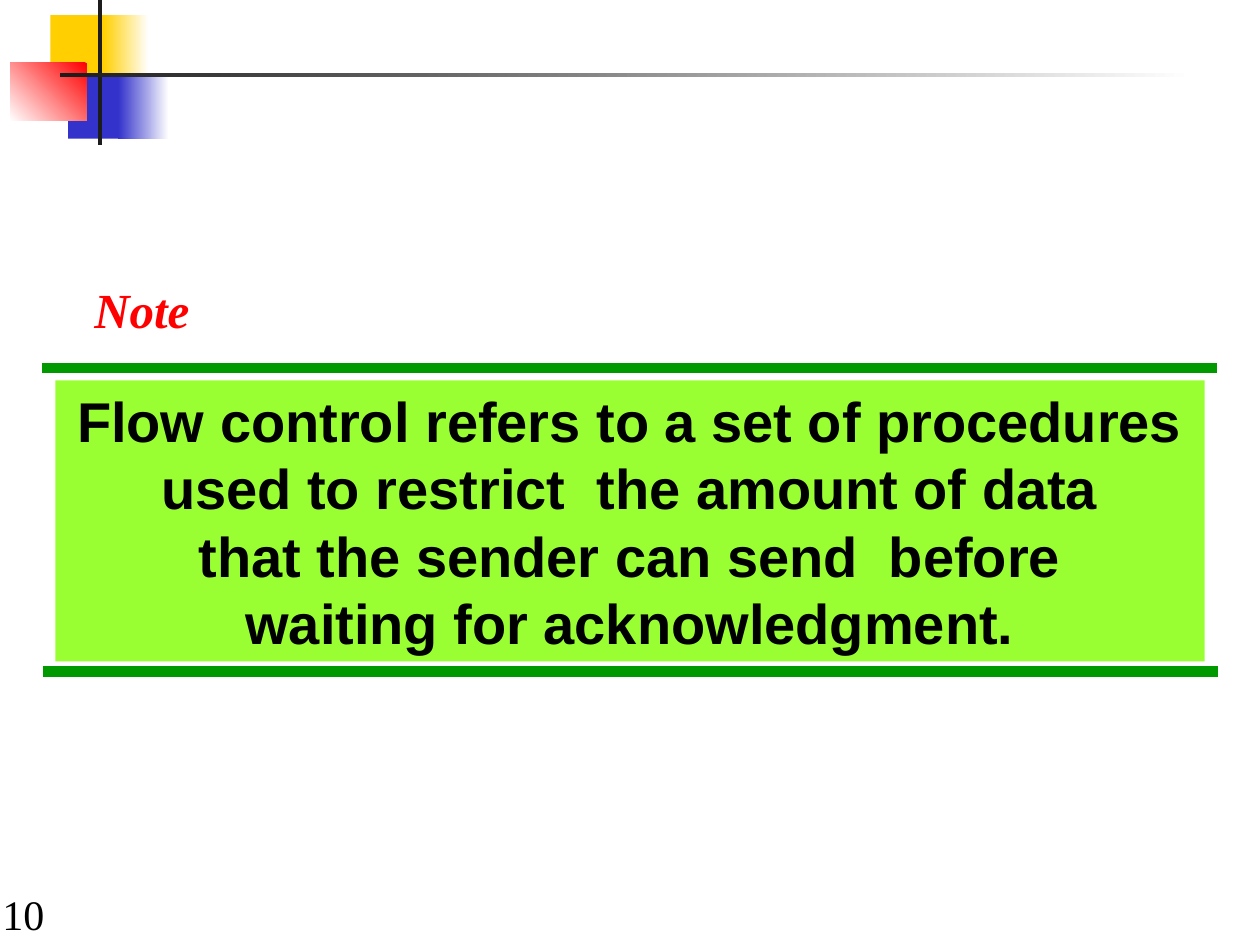
from pptx import Presentation
from pptx.dml.color import RGBColor
from pptx.enum.shapes import MSO_CONNECTOR, MSO_SHAPE
from pptx.enum.text import MSO_ANCHOR, PP_ALIGN
from pptx.oxml.ns import qn
from pptx.util import Inches, Pt
from lxml import etree

RECT = MSO_SHAPE.RECTANGLE
STRAIGHT = MSO_CONNECTOR.STRAIGHT
TOP, BOTTOM = MSO_ANCHOR.TOP, MSO_ANCHOR.BOTTOM
LEFT, CENTER = PP_ALIGN.LEFT, PP_ALIGN.CENTER

WHITE, BLACK, INK = "FFFFFF", "000000", "1C1C1C"
YELLOW, BLUE, RED = "FFCF01", "3333CC", "FF0000"
GREEN, LIME = "009900", "99FF33"

NUMBER = {"name": "Times New Roman", "size": Pt(24)}
LABEL = {"name": "Times New Roman", "size": Pt(28), "bold": True, "italic": True}
BODY = {"name": "Arial", "size": Pt(32), "bold": True}

STATEMENT = [
    "Flow control refers to a set of procedures used to restrict  the amount of data",
    "that the sender can send  before",
    "waiting for acknowledgment.",
]


def rgb(value):
    """Return the colour for a hex string."""
    return RGBColor.from_string(value)


def add_rect(s, x, y, w, h, *colors, angle=180):
    """Add a borderless rectangle with a solid or two-colour gradient fill."""
    sp = s.shapes.add_shape(RECT, Inches(x), Inches(y), Inches(w), Inches(h))
    sp.shadow.inherit = False
    sp.line.fill.background()
    if len(colors) == 1:
        sp.fill.solid()
        sp.fill.fore_color.rgb = rgb(colors[0])
    else:
        sp.fill.gradient()
        sp.fill.gradient_angle = angle
        for stop, color in zip(sp.fill.gradient_stops, colors):
            stop.color.rgb = rgb(color)
    return sp


def write(sp, lines, style, color, align=LEFT, anchor=TOP, wrap=True):
    """Write one formatted paragraph per line into a shape."""
    tf = sp.text_frame
    tf.word_wrap = wrap
    tf.vertical_anchor = anchor
    for i, line in enumerate(lines):
        p = tf.add_paragraph() if i else tf.paragraphs[0]
        p.alignment = align
        r = p.add_run()
        r.text = line
        r.font.color.rgb = rgb(color)
        for name, value in style.items():
            setattr(r.font, name, value)


def add_text(s, x, y, w, h, text, style, color, **layout):
    """Add a text box holding one line."""
    sp = s.shapes.add_textbox(Inches(x), Inches(y), Inches(w), Inches(h))
    write(sp, [text], style, color, **layout)


def add_rule(s, x, y, w):
    """Add a thick green horizontal line."""
    line = s.shapes.add_connector(
        STRAIGHT, Inches(x), Inches(y), Inches(x + w), Inches(y))
    line.line.color.rgb = rgb(GREEN)
    line.line.width = Pt(6)
    etree.SubElement(line._element.spPr, qn("a:effectLst"))


def add_ornament(s, x, y, w, h):
    """Draw the coloured squares and crossed bars in the top corner."""
    add_rect(s, x + 0.32, y + 0.12, 0.48, 0.52, YELLOW)
    add_rect(s, x + 0.74, y + 0.12, 0.36, 0.52, WHITE, YELLOW)
    add_rect(s, x + 0.46, y + 0.58, 0.46, 0.52, BLUE)
    add_rect(s, x + 0.86, y + 0.58, 0.4, 0.52, WHITE, BLUE)
    add_rect(s, x, y + 0.5, 0.61, 0.46, RED, WHITE, angle=225)
    add_rect(s, x + 0.7, y, 0.03, h, INK)
    add_rect(s, x + 0.4, y + 0.58, w - 0.4, 0.03, WHITE, INK)


def add_note(s, x, y, w, h):
    """Draw the note label and its statement panel between two rules."""
    add_text(s, x + 0.32, y, 0.96, 0.57, "Note", LABEL, RED, wrap=False)
    add_rule(s, x, y + 0.75, w)
    add_rule(s, x + 0.01, y + h, w)
    panel = add_rect(s, x + 0.11, y + 0.85, w - 0.21, 2.23, LIME)
    write(panel, STATEMENT, BODY, BLACK, align=CENTER)


def main():
    """Build and save the slide."""
    prs = Presentation()
    prs.slide_width, prs.slide_height = Inches(10), Inches(7.5)
    s = prs.slides.add_slide(prs.slide_layouts[6])
    add_text(s, -0.08, 7, 2.08, 0.5, "10", NUMBER, BLACK, anchor=BOTTOM)
    add_ornament(s, 0.08, 0, 9.4, 1.15)
    add_note(s, 0.33, 2.17, 9.33, 3.16)
    prs.save("out.pptx")


if __name__ == "__main__":
    main()
